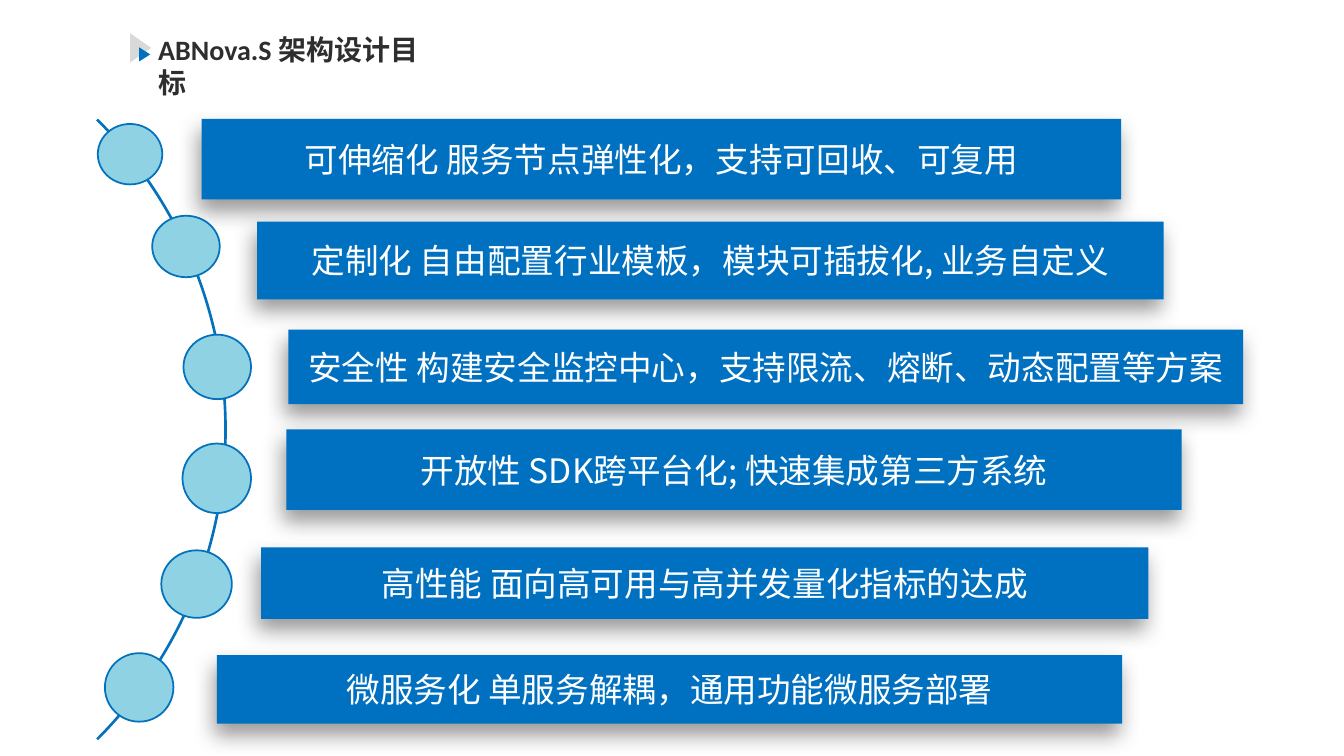
from lxml import etree
from pptx import Presentation
from pptx import util as u
from pptx.dml.color import RGBColor
from pptx.enum import shapes, text
from pptx.oxml import ns

BLUE = RGBColor(0x00, 0x70, 0xC0)
ARC_BLUE = RGBColor(0x03, 0x71, 0xBB)
AQUA = RGBColor(0x8E, 0xD2, 0xE3)
GREY = RGBColor(0xD9, 0xD9, 0xD9)
DARK = RGBColor(0x2E, 0x2E, 0x2E)
WHITE = RGBColor(0xFF, 0xFF, 0xFF)
BLACK = RGBColor(0, 0, 0)
SHAPE = shapes.MSO_SHAPE

# Each goal: text, bar box, dot box (left, top, width, height)
GOALS = [
    ("可伸缩化 服务节点弹性化，支持可回收、可复用",
     (2, 1.18, 9.12, 0.8), (0.97, 1.23, 0.64, 0.6)),
    ("定制化 自由配置行业模板，模块可插拔化, 业务自定义",
     (2.55, 2.2, 8.99, 0.77), (1.51, 2.14, 0.67, 0.61)),
    ("安全性 构建安全监控中心，支持限流、熔断、动态配置等方案",
     (2.86, 3.27, 9.47, 0.74), (1.82, 3.32, 0.67, 0.64)),
    ("开放性 SDK跨平台化; 快速集成第三方系统",
     (2.84, 4.26, 8.88, 0.8), (1.81, 4.4, 0.68, 0.69)),
    ("高性能 面向高可用与高并发量化指标的达成",
     (2.59, 5.43, 8.8, 0.71), (1.6, 5.46, 0.7, 0.67)),
    ("微服务化 单服务解耦，通用功能微服务部署",
     (2.15, 6.5, 8.98, 0.68), (1.04, 6.48, 0.68, 0.68)),
]


class Deck:
    """Slide under construction and its shared style."""
    cjk_font = "Noto Sans CJK SC"
    title_font = "Calibri"

    def __init__(self):
        self.prs = Presentation()
        self.prs.slide_width = u.Inches(13.33)
        self.prs.slide_height = u.Inches(7.5)
        self.s = self.prs.slides.add_slide(self.prs.slide_layouts[6])

    def shape(self, kind, box, fill, line=None, adj=()):
        sp = self.s.shapes.add_shape(kind, *map(u.Inches, box))
        sp.shadow.inherit = False
        sp.fill.solid()
        sp.fill.fore_color.rgb = fill
        if line is None:
            sp.line.fill.background()
        else:
            sp.line.color.rgb = line
            sp.line.width = u.Pt(1.25)
        for i, value in enumerate(adj):
            sp.adjustments[i] = value
        return sp

    def label(self, sp, words, font, size, color, bold=False):
        p = sp.text_frame.paragraphs[0]
        p.text = words
        r = p.runs[0]
        r.font.name = font
        r.font.size = u.Pt(size)
        r.font.bold = bold
        r.font.color.rgb = color
        # East Asian typeface
        ea = etree.SubElement(r._r.get_or_add_rPr(), ns.qn("a:ea"))
        ea.set("typeface", self.cjk_font)
        return p

    def title(self, words, box):
        sp = self.s.shapes.add_textbox(*map(u.Inches, box))
        sp.text_frame.word_wrap = True
        self.label(sp, words, self.title_font, 20, DARK, bold=True)

    def bar(self, words, box):
        sp = self.shape(SHAPE.RECTANGLE, box, BLUE)
        self.soft_shadow(sp)
        tf = sp.text_frame
        tf.word_wrap = True
        tf.vertical_anchor = text.MSO_ANCHOR.MIDDLE
        p = self.label(sp, words, self.cjk_font, 24, WHITE)
        p.alignment = text.PP_ALIGN.CENTER

    def dot(self, box):
        self.shape(SHAPE.OVAL, box, AQUA, ARC_BLUE)

    def soft_shadow(self, sp):
        effects = sp._element.spPr.find(ns.qn("a:effectLst"))
        shadow = etree.SubElement(
            effects, ns.qn("a:outerShdw"), blurRad=str(u.Pt(15)),
            dist=str(u.Pt(8)), dir=str(109 * 60000), rotWithShape="0")
        color = etree.SubElement(shadow, ns.qn("a:srgbClr"), val=str(BLACK))
        etree.SubElement(color, ns.qn("a:alpha"), val="40000")


def main():
    deck = Deck()

    # Title with its double arrow marker
    deck.title("ABNova.S 架构设计目标", (1.47, 0.27, 3.04, 0.44))
    for box, fill in (((1.29, 0.33, 0.21, 0.29), GREY),
                      ((1.38, 0.47, 0.11, 0.14), BLUE)):
        deck.shape(SHAPE.RIGHT_ARROW, box, fill, adj=(0.5, 1))

    # Thin arc linking the goals
    deck.shape(SHAPE.BLOCK_ARC, (-6.47, -0.1, 8.72, 8.72), ARC_BLUE,
               adj=(189, 27, 0.003))

    # Goals along the arc
    for words, bar_box, dot_box in GOALS:
        deck.bar(words, bar_box)
        deck.dot(dot_box)

    deck.prs.save("out.pptx")


if __name__ == "__main__":
    main()
